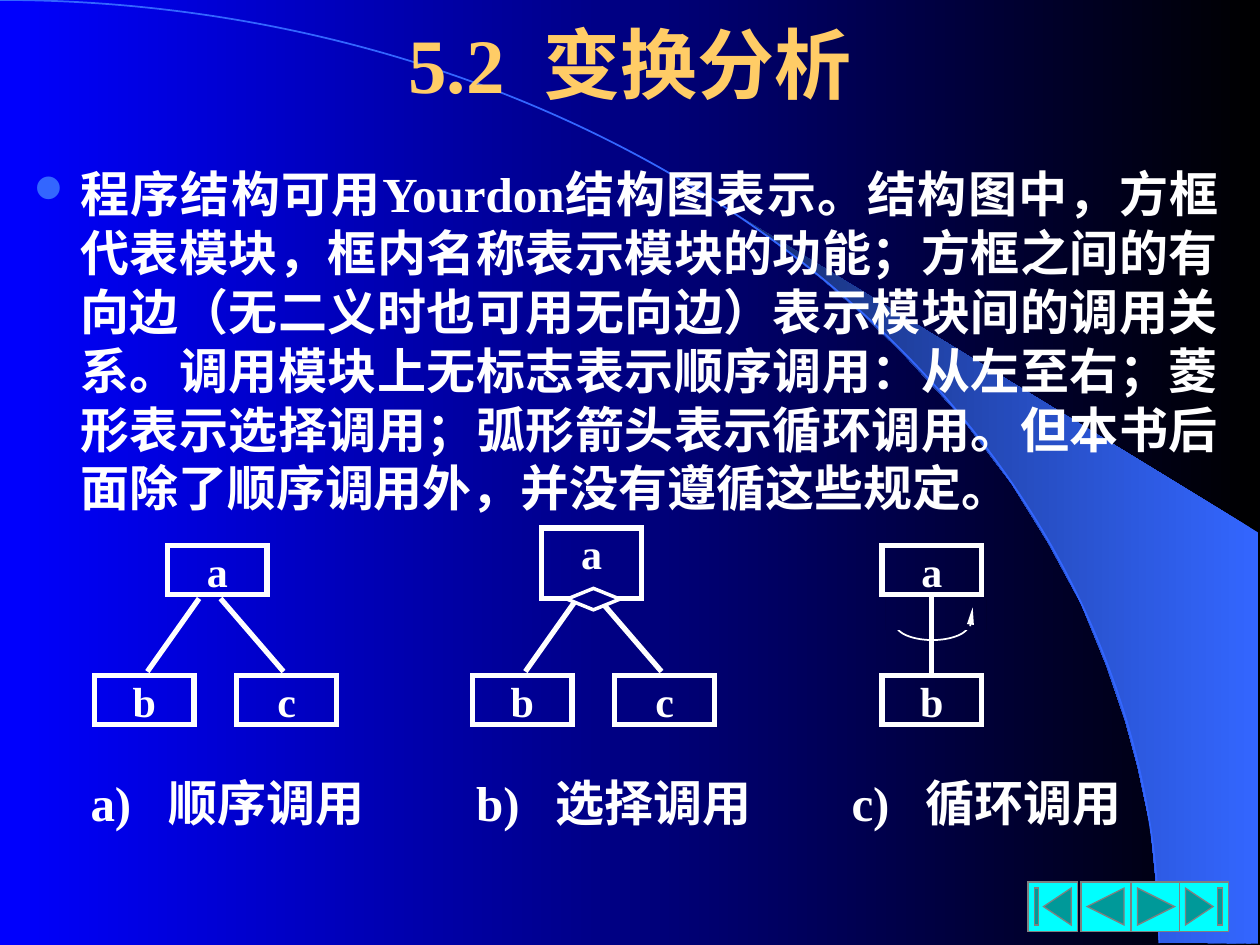
from lxml import etree
from pptx import Presentation
from pptx import util as u
from pptx.dml.color import RGBColor
from pptx.enum import shapes as sh, text as tx
from pptx.oxml.ns import qn

# Content
TITLE = "5.2  变换分析"
BODY = ("程序结构可用Yourdon结构图表示。结构图中，方框代表模块，框内名称表示模块的功能；"
        "方框之间的有向边（无二义时也可用无向边）表示模块间的调用关系。调用模块上无标志表示"
        "顺序调用：从左至右；菱形表示选择调用；弧形箭头表示循环调用。但本书后面除了顺序调用外，"
        "并没有遵循这些规定。")
CAPTIONS = [("a)", "顺序调用"), ("b)", "选择调用"), ("c)", "循环调用")]
CAPTION_TABS = [0.29, 0.91, 3.35, 3.98, 6.33, 6.92]
# Branch charts: left edge, caller's left, top and height, space above its name
BRANCHES = [(0.75, 1.33, 4.33, 0.39, 15), (3.75, 4.3, 4.19, 0.56, 0)]
LOOP_LEFT = 7
BOX_W, BOX_H, CALLEE_TOP = 0.79, 0.39, 5.36
BUTTONS = [(8.16, "BEGINNING"), (8.58, "BACK_OR_PREVIOUS"),
           (8.98, "FORWARD_OR_NEXT"), (9.36, "END")]
SWOOSH = [(9.2, 7.48), (9.99, 7.49), (9.99, 4.23), (5.89, 1.73), (6.24, 1.99),
          (6.53, 2.22), (6.85, 2.5), (7.16, 2.8), (7.62, 3.3), (8.03, 3.84),
          (8.32, 4.31), (8.58, 4.79), (8.78, 5.28), (8.93, 5.72), (9.03, 6.09),
          (9.13, 6.56), (9.17, 6.96)]
COLORS = {"black": "000000", "blue": "0000FF", "accent": "3366FF", "navy": "172F75",
          "white": "FFFFFF", "title": "FFCC66", "button": "00FFFF", "edge": "808080"}
FONT = "Times New Roman"

prs = Presentation()
prs.slide_width, prs.slide_height = u.Inches(10), u.Inches(7.5)
slide = prs.slides.add_slide(prs.slide_layouts[5])
shapes = slide.shapes


def color(name):
    return RGBColor.from_string(COLORS[name])


def fade(fill, start, end):
    fill.gradient()
    fill.gradient_angle = 180
    for stop, name, position in zip(fill.gradient_stops, (start, end), (0, 1)):
        stop.color.rgb = color(name)
        stop.position = position


def outline(item, name, width):
    item.line.color.rgb = color(name)
    item.line.width = u.Pt(width)
    etree.SubElement(item.line._get_or_add_ln(), qn("a:miter"), lim="800000")


def preset(kind, left, top, width, height, line=None, points=1, backdrop=False):
    shape = shapes.add_shape(kind, *map(u.Inches, (left, top, width, height)))
    shape.shadow.inherit = False
    if backdrop:  # shows the slide background through the shape
        shape._element.set("useBgFill", "1")
    else:
        shape.fill.background()
    if line:
        outline(shape, line, points)
    else:
        shape.line.fill.background()
    return shape


def connect(x1, y1, x2, y2, points=3):
    edge = shapes.add_connector(sh.MSO_CONNECTOR.STRAIGHT, *map(u.Inches, (x1, y1, x2, y2)))
    outline(edge, "white", points)
    etree.SubElement(edge._element.spPr, qn("a:effectLst"))
    return edge


def write(shape, content, size, ink="white", align=None, before=0, inset=(0.1, 0.05)):
    frame = shape.text_frame
    frame.text = content
    frame.word_wrap = True
    frame.margin_left = frame.margin_right = u.Inches(inset[0])
    frame.margin_top = frame.margin_bottom = u.Inches(inset[1])
    para = frame.paragraphs[0]
    para.alignment = align
    para.space_before = u.Pt(before)
    font = para.runs[0].font
    font.name, font.size, font.bold = FONT, u.Pt(size), True
    font.color.rgb = color(ink)
    return para


def module(name, left, top, height=BOX_H, before=15):
    box = preset(sh.MSO_SHAPE.RECTANGLE, left, top, BOX_W, height, "white", 3)
    box.text_frame.vertical_anchor = tx.MSO_ANCHOR.TOP
    write(box, name, 24, align=tx.PP_ALIGN.CENTER, before=before, inset=(0, 0))
    return box


# Background, swoosh and long arc
fade(slide.background.fill, "black", "blue")
builder = shapes.build_freeform(*map(u.Inches, SWOOSH[0]), scale=1.0)
builder.add_line_segments([(u.Inches(x), u.Inches(y)) for x, y in SWOOSH[1:]], close=True)
swoosh = builder.convert_to_shape()
swoosh.shadow.inherit = False
fade(swoosh.fill, "accent", "navy")
swoosh.line.fill.background()
preset(sh.MSO_SHAPE.ARC, -9.2, 0, 18.4, 14.97, "accent")

# Loop arrow: an ellipse with its upper part covered
preset(sh.MSO_SHAPE.OVAL, 7.11, 4.83, 0.58, 0.25, "white", backdrop=True)
preset(sh.MSO_SHAPE.RECTANGLE, 7.03, 4.75, 0.8, 0.25, backdrop=True)
arrow = connect(7.7, 4.97, 7.72, 4.82, 1)
etree.SubElement(arrow.line._get_or_add_ln(), qn("a:tailEnd"),
                 type="triangle", w="sm", len="lg")

# Title, kept in front of the arc
title = shapes.title
shapes._spTree.append(title._element)
title.left, title.top, title.width, title.height = map(u.Inches, (0.75, 0.16, 8.5, 0.67))
write(title, TITLE, 44, "title", tx.PP_ALIGN.CENTER)
title.text_frame.auto_size = tx.MSO_AUTO_SIZE.NONE
title.text_frame.vertical_anchor = tx.MSO_ANCHOR.MIDDLE

# Bulleted explanation
body = shapes.add_textbox(*map(u.Inches, (0.17, 1.25, 9.6, 3.08)))
props = write(body, BODY, 28, align=tx.PP_ALIGN.JUSTIFY, before=7)._p.get_or_add_pPr()
props.set("marL", str(u.Inches(0.37)))
props.set("indent", str(u.Inches(-0.37)))
bullet_color = etree.SubElement(props, qn("a:buClr"))
etree.SubElement(bullet_color, qn("a:srgbClr"), val=COLORS["accent"])
etree.SubElement(props, qn("a:buSzPct"), val="80000")
etree.SubElement(props, qn("a:buFont"), typeface="Wingdings", charset="2")
etree.SubElement(props, qn("a:buChar"), char="l")

# Navigation buttons
for left, action in BUTTONS:
    button = preset(getattr(sh.MSO_SHAPE, "ACTION_BUTTON_" + action),
                    left, 7, 0.39, 0.39, "edge", 0.75)
    button.fill.solid()
    button.fill.fore_color.rgb = color("button")

# Sequence and selection charts
for left, caller_left, top, height, before in BRANCHES:
    module("a", caller_left, top, height, before)
    module("c", left + 1.13, CALLEE_TOP)
    module("b", left, CALLEE_TOP)
    connect(left + 0.83, 4.75, left + 0.42, 5.33)
    connect(left + 1, 4.75, left + 1.5, 5.33)
preset(sh.MSO_SHAPE.DIAMOND, 4.5, 4.67, 0.42, 0.17, "white", 2, backdrop=True)

# Loop chart
caller = module("a", LOOP_LEFT, 4.33)
callee = module("b", LOOP_LEFT, CALLEE_TOP)
call = connect(7.42, 4.75, 7.42, 5.33)
call.begin_connect(caller, 2)
call.end_connect(callee, 0)

# Captions on tab stops
captions = shapes.add_textbox(*map(u.Inches, (0.33, 6.08, 9.25, 1.04)))
line = "".join(f"\t{mark}\t{label}" for mark, label in CAPTIONS)
props = write(captions, line, 28, before=17.5)._p.get_or_add_pPr()
stops = etree.SubElement(props, qn("a:tabLst"))
for position in CAPTION_TABS:
    etree.SubElement(stops, qn("a:tab"), pos=str(u.Inches(position)), algn="l")

prs.save("out.pptx")
